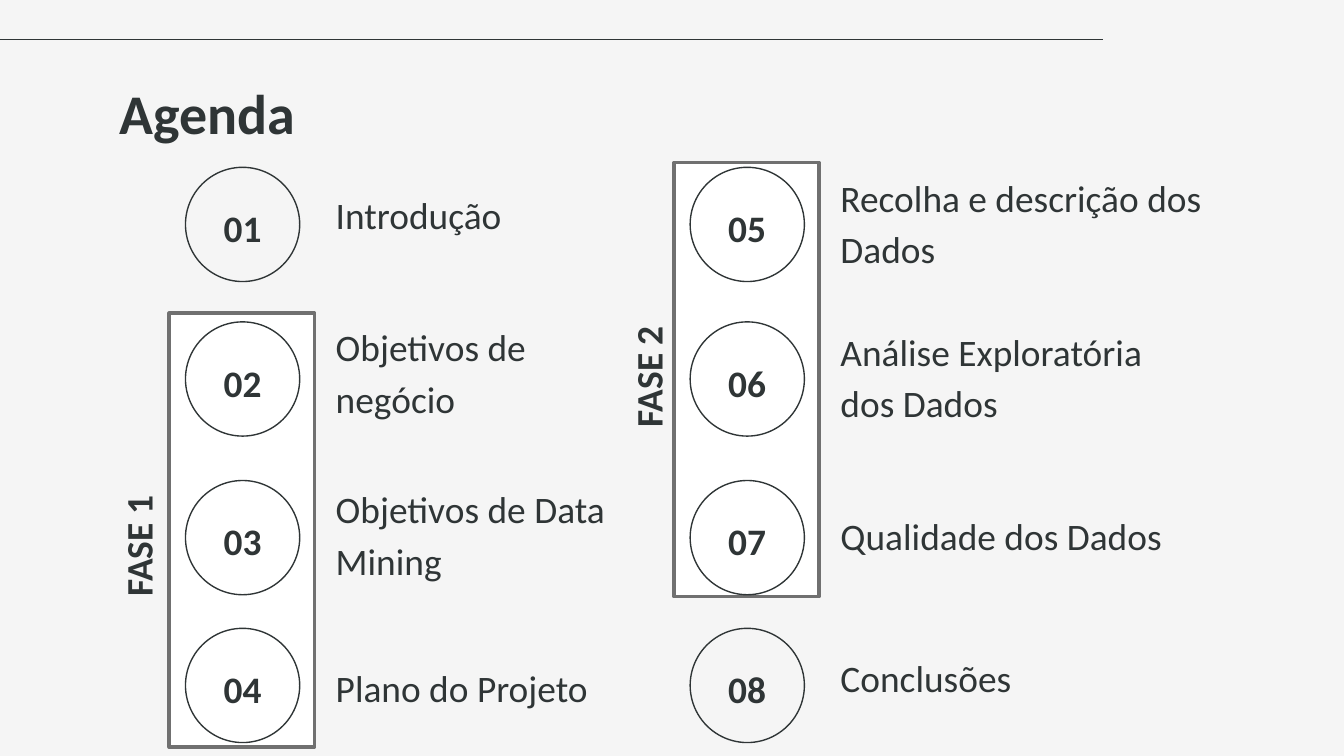
from dataclasses import dataclass

from lxml.etree import SubElement
from pptx import Presentation
from pptx.dml.color import RGBColor
from pptx.enum.shapes import MSO_CONNECTOR, MSO_SHAPE
from pptx.enum.text import MSO_ANCHOR, PP_ALIGN
from pptx.oxml.ns import qn
from pptx.util import Inches, Pt


@dataclass(frozen=True)
class Theme:
    """Colours, type sizes and line widths of the deck."""
    paper: RGBColor = RGBColor.from_string("F5F5F5")
    ink: RGBColor = RGBColor.from_string("2F3536")
    panel: RGBColor = RGBColor.from_string("FFFFFF")
    frame: RGBColor = RGBColor.from_string("707070")
    font: str = "Calibri"
    heading: int = 30
    body: int = 20
    thin: float = 0.75
    thick: float = 2


@dataclass(frozen=True)
class Box:
    """An area measured in columns and rows of the slide grid."""
    left: float
    top: float
    width: float
    height: float

    def inside(self, left, top, width, height):
        """Return a box placed relative to this one."""
        return Box(self.left + left, self.top + top, width, height)

    def lengths(self):
        """Return the box as slide lengths."""
        return [cell(n) for n in (self.left, self.top, self.width, self.height)]


THEME = Theme()
WIDTH = Inches(10)
HEIGHT = WIDTH * 9 // 16
GRID_COLUMNS = 100
ROW_TOPS = (0, 11.5, 23.3, 34.3)
CIRCLE = 8.5

AGENDA = (
    {
        "box": Box(12.6, 12.45, 36, 42.8),
        "phase": ("FASE 1", (-8, 26.05, 10.8, 4.3)),
        "panel_top": 10.85,
        "items": (
            ("01", "Introdução", (2.15, 24.4, 4)),
            ("02", "Objetivos de negócio", (-0.15, 24.4, 8.5)),
            ("03", "Objetivos de Data Mining", (-0.5, 24.4, 9.1)),
            ("04", "Plano do Projeto", (3.1, 24.4, 4)),
        ),
    },
    {
        "box": Box(50.15, 12.45, 36, 42.8),
        "phase": ("FASE 2 ", (-7.85, 13.05, 11.3, 4.4)),
        "panel_top": -0.35,
        "items": (
            ("05", "Recolha e descrição dos Dados", (-0.55, 29.2, 9.3)),
            ("06", "Análise Exploratória dos Dados", (-0.6, 27.4, 9.3)),
            ("07", "Qualidade dos Dados", (1.05, 30.5, 5.7)),
            ("08", "Conclusões", (2.35, 24.4, 4)),
        ),
    },
)


def cell(count):
    """Convert a number of grid cells to a slide length."""
    return round(WIDTH * count / GRID_COLUMNS)


def apply(target, values):
    """Set every attribute named in a dict of format values."""
    for name, value in values.items():
        setattr(target, name, value)


def add_text(slide, box, text, size=THEME.body, bold=False, rotation=0,
             align=PP_ALIGN.LEFT, anchor=MSO_ANCHOR.BOTTOM, spacing=1.15):
    """Place one formatted paragraph in a box."""
    shape = slide.shapes.add_textbox(*box.lengths())
    shape.rotation = rotation
    frame = shape.text_frame
    margins = dict.fromkeys(
        ("margin_left", "margin_top", "margin_right", "margin_bottom"), cell(1))
    apply(frame, {"word_wrap": True, "vertical_anchor": anchor, **margins})
    para = frame.paragraphs[0]
    apply(para, {"alignment": align, "line_spacing": spacing})
    span = para.add_run()
    span.text = text
    apply(span.font, {"name": THEME.font, "size": Pt(size), "bold": bold})
    span.font.color.rgb = THEME.ink


def add_outline(slide, kind, box, colour, width, fill=None):
    """Place an outlined shape, filled only when a colour is given."""
    shape = slide.shapes.add_shape(kind, *box.lengths())
    shape.shadow.inherit = False
    if fill is None:
        shape.fill.background()
    else:
        shape.fill.solid()
        shape.fill.fore_color.rgb = fill
    shape.line.color.rgb = colour
    shape.line.width = Pt(width)


def add_header(slide, box):
    """Draw the top rule and the slide heading."""
    rule = slide.shapes.add_connector(
        MSO_CONNECTOR.STRAIGHT, cell(box.left), cell(box.top + 2.93),
        cell(box.left + 82.1), cell(box.top + 2.93))
    rule.line.color.rgb = THEME.ink
    rule.line.width = Pt(THEME.thin)
    SubElement(rule._element.spPr, qn("a:effectLst"))
    add_text(slide, box.inside(7.9, 4.85, 84.3, 6.3), "Agenda", THEME.heading,
             bold=True, anchor=MSO_ANCHOR.TOP, spacing=1)


def add_item(slide, box, number, label, label_place):
    """Draw a numbered circle with its topic to the right."""
    top, width, height = label_place
    add_outline(slide, MSO_SHAPE.OVAL, box.inside(1.2, 0, CIRCLE, CIRCLE),
                THEME.ink, THEME.thin)
    add_text(slide, box.inside(1.45, 2.25, 8, 4), number, bold=True,
             align=PP_ALIGN.CENTER, anchor=MSO_ANCHOR.MIDDLE)
    add_text(slide, box.inside(11.4, top, width, height), label)


def add_column(slide, box, phase, panel_top, items):
    """Draw a column of topics with its phase panel and side label."""
    add_outline(slide, MSO_SHAPE.RECTANGLE, box.inside(0, panel_top, 10.8, 32.3),
                THEME.frame, THEME.thick, THEME.panel)
    for row_top, item in zip(ROW_TOPS, items):
        add_item(slide, box.inside(0, row_top, box.width, CIRCLE), *item)
    name, place = phase
    add_text(slide, box.inside(*place), name, bold=True, rotation=270,
             align=PP_ALIGN.CENTER, anchor=MSO_ANCHOR.MIDDLE)


def main():
    """Build and save the agenda slide."""
    deck = Presentation()
    apply(deck, {"slide_width": WIDTH, "slide_height": HEIGHT})
    slide = deck.slides.add_slide(deck.slide_layouts[6])
    slide.background.fill.solid()
    slide.background.fill.fore_color.rgb = THEME.paper
    add_header(slide, Box(0, 0, GRID_COLUMNS, 11.2))
    for column in AGENDA:
        add_column(slide, **column)
    deck.save("out.pptx")


if __name__ == "__main__":
    main()
